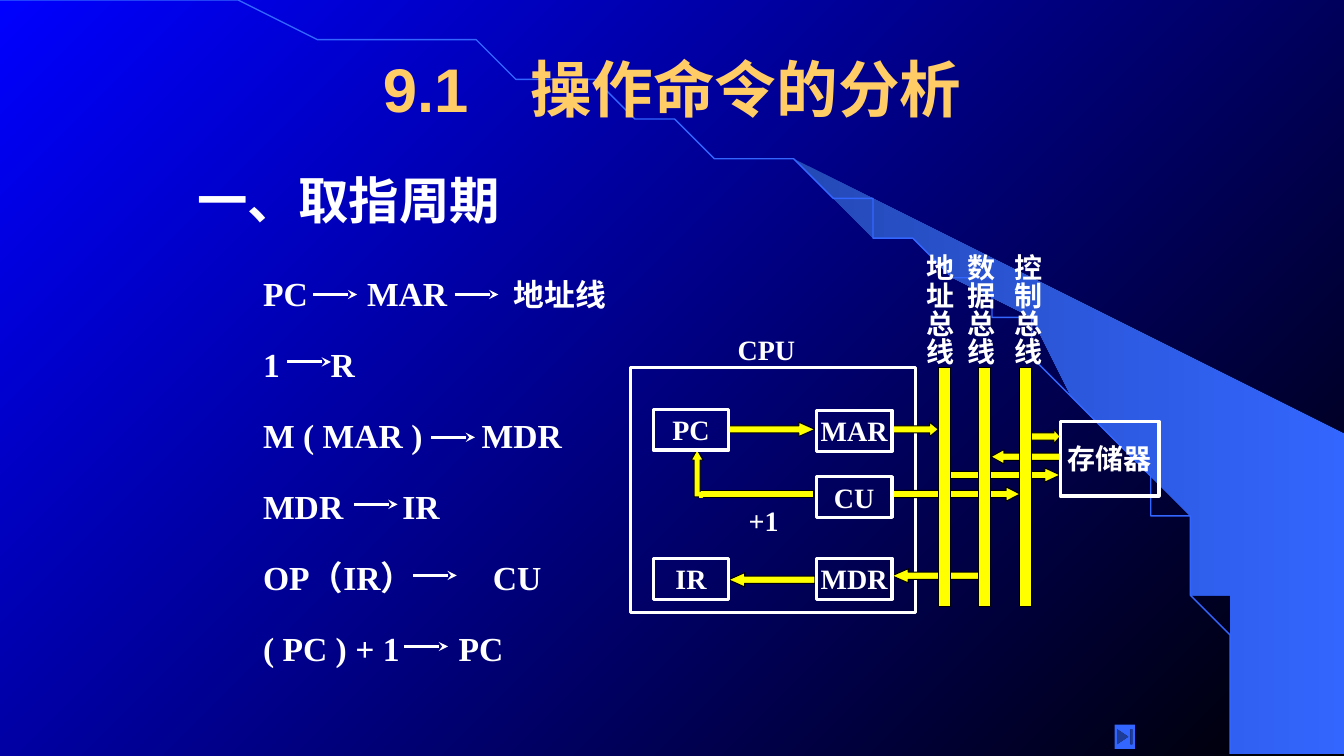
import math

from lxml import etree
from pptx import Presentation
from pptx import util as u
from pptx.dml.color import RGBColor
from pptx.enum import shapes as kinds, text as t
from pptx.oxml.ns import qn

COLORS = {"white": "FFFFFF", "black": "000000", "yellow": "FFFF00", "gold": "FFCC66",
          "blue": "0000FF", "sky": "3366FF", "deep": "2449B6"}
SERIF, SANS = "Times New Roman", "Arial"

# All lengths are centimetres.
SLIDE = (33.87, 19.05)
ARC_RADII = (31.14, 19.02)
BEAM = [(31.17, 19), (33.81, 19.02), (33.81, 10.74), (19.96, 4.39), (21.13, 5.05),
        (22.1, 5.64), (23.19, 6.35), (24.26, 7.11), (25.81, 8.38), (27.18, 9.75),
        (28.19, 10.95), (29.06, 12.17), (29.74, 13.41), (30.25, 14.53),
        (30.58, 15.47), (30.91, 16.66), (31.06, 17.68)]

TITLE = ("9.1　操作命令的分析", (6.15, 0.64, 21.59, 3.17))
HEADING = ("一、取指周期", (4.98, 4.44, 11.33, 1.19))

# (text, size) pieces, tab stops, arrow starts, arrow drop below the top of the line
STEPS = [
    ([("PC\tMAR\t", 24), ("地址线", 22)], [2.62, 6.32], [7.9, 11.46], 0.64),
    ([("1\tR", 24)], [1.7], [7.24], 0.55),
    ([("M ( MAR )\tMDR", 24)], [5.51], [10.87], 0.66),
    ([("MDR\tIR", 24)], [3.51], [8.92], 0.56),
    ([("OP（IR）\tCU", 24)], [5.79], [10.41], 0.56),
    ([("( PC ) + 1\tPC", 24)], [4.93], [10.19], 0.56),
]
STEP_LEFT, STEP_TOP, STEP_PITCH, STEP_SIZE = 6.63, 6.78, 1.79, (11.99, 1.19)
STEP_ARROW = 1.1

CPU = (15.88, 9.27, 7.19, 6.17)
UNIT_SIZE = (1.91, 1.03)
UNITS = [("PC", 16.46, 10.31), ("MAR", 20.57, 10.34), ("CU", 20.57, 12.01),
         ("IR", 16.46, 14.07), ("MDR", 20.57, 14.07)]
MEMORY = ("存储器", (26.72, 10.62, 2.49, 1.88))

# direction, left, top, length, head length relative to the thickness
FLOW_THICKNESS = 0.36
FLOWS = [("RIGHT", 22.48, 10.64, 1.17, 0.61), ("RIGHT", 18.36, 10.64, 2.18, 1.13),
         ("LEFT", 22.48, 14.33, 2.21, 1.14), ("RIGHT", 22.48, 12.27, 3.23, 0.98),
         ("RIGHT", 23.93, 11.79, 2.79, 1.08), ("LEFT", 24.97, 11.33, 1.75, 0.91),
         ("RIGHT", 25.83, 10.82, 0.89, 0.45), ("LEFT", 18.36, 14.43, 2.18, 1.13)]
FEEDBACK = (17.58, 12.37, 2.92, 0.18)
FEEDBACK_UP = (17.42, 11.33, 0.3, 1.19)
FEEDBACK_CORNER = (17.63, 12.4, 0.08, 0.13)

BUSES = [("地址总线", 22.86), ("数据总线", 23.88), ("控制总线", 25.07)]
BUS_LEFT, BUS_PITCH, BUS_TOP, BUS_SIZE = 23.65, 1.02, 9.27, (0.3, 6.02)
BUS_LABEL_TOP, BUS_LABEL_SIZE = 6.15, (1.37, 3.12)
LABELS = [("CPU", (18.34, 8.26, 1.96, 1.09)), ("+1", (18.62, 12.57, 3.07, 1.09))]
END_BUTTON = (28.09, 18.26, 0.51, 0.61)

presentation = Presentation()
presentation.slide_width, presentation.slide_height = map(u.Cm, SLIDE)
slide = presentation.slides.add_slide(presentation.slide_layouts[6])
shapes = slide.shapes


def rgb(name):
    return RGBColor.from_string(COLORS[name])


def set_gradient(fill, names, angle):
    fill.gradient()
    fill.gradient_angle = angle
    for stop, name, position in zip(fill.gradient_stops, names, (0, 1)):
        stop.color.rgb, stop.position = rgb(name), position


def style(shape, fill=None, line=None, width=0.75):
    shape.shadow.inherit = False
    if fill:
        shape.fill.solid()
        shape.fill.fore_color.rgb = rgb(fill)
    else:
        shape.fill.background()
    if line:
        shape.line.color.rgb, shape.line.width = rgb(line), u.Pt(width)
    else:
        shape.line.fill.background()


def add_shape(kind, box, **look):
    shape = shapes.add_shape(kind, *map(u.Cm, box))
    style(shape, **look)
    return shape


def write(shape, pieces, tabs=(), align=t.PP_ALIGN.LEFT, anchor=t.MSO_ANCHOR.TOP,
          font=SERIF, color="white", inset=None, wrap=False):
    """Fill the shape with one paragraph made of (text, size) pieces."""
    frame = shape.text_frame
    frame.word_wrap, frame.vertical_anchor = wrap, anchor
    if inset is not None:
        for side in ("left", "top", "right", "bottom"):
            setattr(frame, f"margin_{side}", u.Cm(inset))
    paragraph = frame.paragraphs[0]
    paragraph.alignment = align
    if tabs:
        stops = etree.SubElement(paragraph._p.get_or_add_pPr(), qn("a:tabLst"))
        for tab in tabs:
            etree.SubElement(stops, qn("a:tab"), pos=str(u.Cm(tab)), algn="l")
    for words, size in pieces:
        run = paragraph.add_run()
        run.text = words
        for key, value in {"name": font, "size": u.Pt(size), "bold": True}.items():
            setattr(run.font, key, value)
        run.font.color.rgb = rgb(color)


def add_text(box, pieces, **options):
    shape = shapes.add_textbox(*map(u.Cm, box))
    write(shape, pieces, **options)
    return shape


def add_outline(points, close):
    builder = shapes.build_freeform(*points[0], scale=u.Cm(1))
    builder.add_line_segments(points[1:], close=close)
    return builder.convert_to_shape()


def add_step_arrow(left, y):
    ends = map(u.Cm, (left, y, left + STEP_ARROW, y))
    arrow = shapes.add_connector(kinds.MSO_CONNECTOR.STRAIGHT, *ends)
    arrow.line.color.rgb, arrow.line.width = rgb("white"), u.Pt(2.25)
    etree.SubElement(arrow.line._get_or_add_ln(), qn("a:tailEnd"), type="stealth")
    etree.SubElement(arrow._element.spPr, qn("a:effectLst"))


def add_labelled_box(words, box):
    shape = add_shape(kinds.MSO_SHAPE.RECTANGLE, box, line="white", width=2.25)
    write(shape, [(words, 20)], align=t.PP_ALIGN.CENTER, anchor=t.MSO_ANCHOR.MIDDLE)


def draw_backdrop():
    set_gradient(slide.background.fill, ("blue", "black"), 315)
    beam = add_outline(BEAM, True)
    style(beam)
    set_gradient(beam.fill, ("deep", "sky"), 0)
    angles = [math.radians(degree) for degree in range(0, 91, 2)]
    arc = [(ARC_RADII[0] * math.sin(a), ARC_RADII[1] * (1 - math.cos(a))) for a in angles]
    style(add_outline(arc, False), line="sky", width=1)


def draw_steps():
    for row, (pieces, tabs, arrows, drop) in enumerate(STEPS):
        top = STEP_TOP + row * STEP_PITCH
        add_text((STEP_LEFT, top, *STEP_SIZE), pieces, tabs=tabs, inset=0,
                 anchor=t.MSO_ANCHOR.MIDDLE)
        for left in arrows:
            add_step_arrow(left, top + drop)


def draw_processor():
    kind = kinds.MSO_SHAPE
    flow_look = {"fill": "yellow", "line": "black"}
    add_shape(kind.RECTANGLE, CPU, line="white", width=2.25)
    add_shape(kind.RECTANGLE, FEEDBACK, **flow_look)
    add_shape(kind.UP_ARROW, FEEDBACK_UP, **flow_look).adjustments[1] = 0.88
    add_shape(kind.RECTANGLE, FEEDBACK_CORNER, fill="yellow", line="yellow")
    for direction, left, top, length, head in FLOWS:
        flow = add_shape(kind[f"{direction}_ARROW"], (left, top, length, FLOW_THICKNESS),
                         **flow_look)
        flow.adjustments[1] = head
    for words, left, top in UNITS:
        add_labelled_box(words, (left, top, *UNIT_SIZE))
    for column, (words, label_left) in enumerate(BUSES):
        add_shape(kind.RECTANGLE, (BUS_LEFT + column * BUS_PITCH, BUS_TOP, *BUS_SIZE),
                  **flow_look)
        label = add_text((label_left, BUS_LABEL_TOP, *BUS_LABEL_SIZE), [(words, 20)])
        label.text_frame._txBody.bodyPr.set("vert", "eaVert")
    add_labelled_box(*MEMORY)
    for words, box in LABELS:
        add_text(box, [(words, 20)])


draw_backdrop()
add_text(TITLE[1], [(TITLE[0], 44)], font=SANS, color="gold", wrap=True,
         align=t.PP_ALIGN.CENTER, anchor=t.MSO_ANCHOR.MIDDLE)
add_text(HEADING[1], [(HEADING[0], 36)], inset=0, anchor=t.MSO_ANCHOR.MIDDLE)
draw_steps()
draw_processor()
add_shape(kinds.MSO_SHAPE.ACTION_BUTTON_END, END_BUTTON, fill="sky")
presentation.save("out.pptx")
